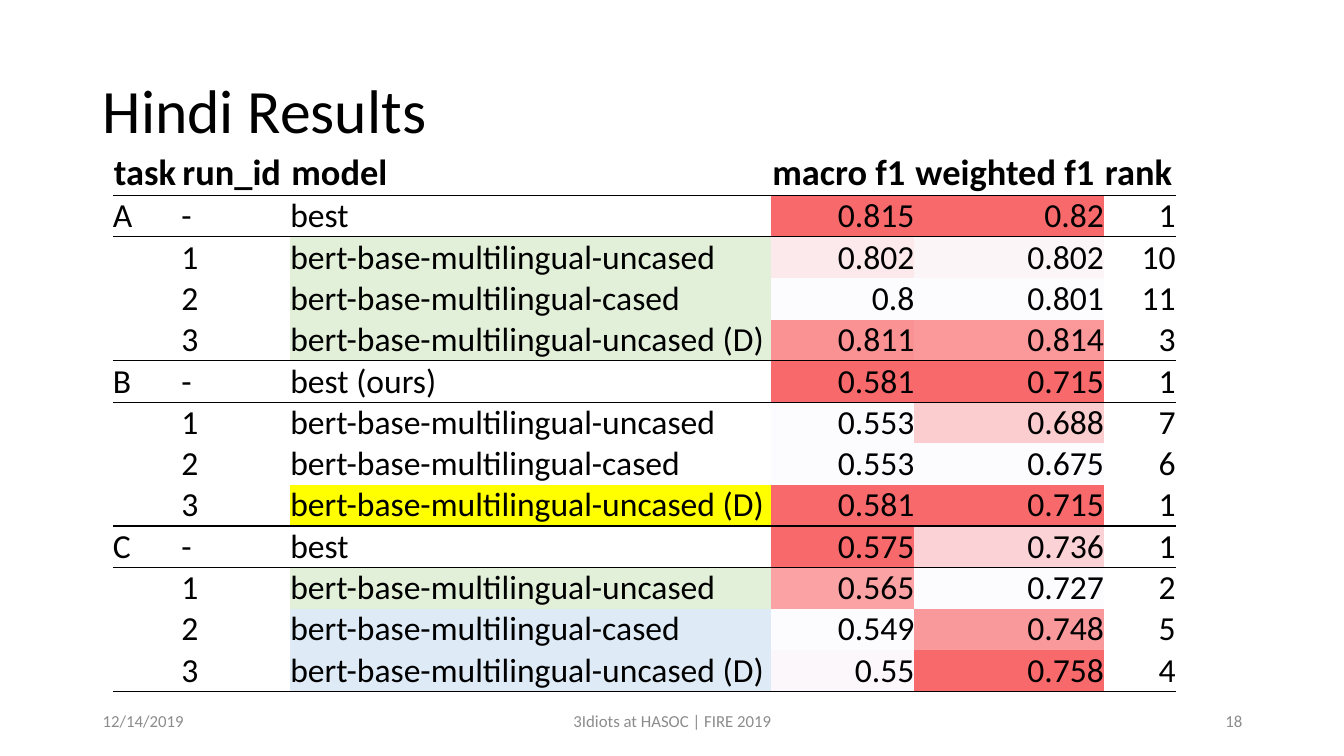
from dataclasses import dataclass
from math import ceil

from lxml.etree import SubElement
from pptx import Presentation
from pptx.dml.color import RGBColor as RGB
from pptx.enum.text import MSO_ANCHOR as ANCHOR, PP_ALIGN as ALIGN
from pptx.oxml import parse_xml
from pptx.oxml.ns import nsdecls, qn
from pptx.util import Inches, Pt


@dataclass(frozen=True)
class Theme:
    font: str = "Calibri"
    ink: str = "000000"
    muted: str = "8C8C8C"
    green: str = "E2F0D9"
    yellow: str = "FFFF00"
    blue: str = "DEEBF7"
    heat_low: str = "FCFCFF"
    heat_high: str = "F8696B"
    title: int = 44
    head: int = 26
    body: int = 24
    footer: int = 12
    rule: int = 1


T = Theme()
NO_STYLE = "{2D5ABB26-0587-4C30-8999-92F81FD0307C}"
COLS = [0.68, 1.08, 4.77, 1.42, 1.88, 0.71]
HEAD_H, ROW_H = 0.45, 0.41
HEADERS = ["task", "run_id", "model", "macro f1", "weighted f1", "rank"]
SCORE_COLS = (3, 4)
MODELS = [
    "bert-base-multilingual-uncased",
    "bert-base-multilingual-cased",
    "bert-base-multilingual-uncased (D)",
]
TASKS = [
    ("A", "best", [("0.815", "0.82", "1"), ("0.802", "0.802", "10"),
                   ("0.8", "0.801", "11"), ("0.811", "0.814", "3")],
     [T.green, T.green, T.green]),
    ("B", "best (ours)", [("0.581", "0.715", "1"), ("0.553", "0.688", "7"),
                          ("0.553", "0.675", "6"), ("0.581", "0.715", "1")],
     [None, None, T.yellow]),
    ("C", "best", [("0.575", "0.736", "1"), ("0.565", "0.727", "2"),
                   ("0.549", "0.748", "5"), ("0.55", "0.758", "4")],
     [T.green, T.blue, T.blue]),
]


def write(tf, text, size, color=T.ink, bold=False, align=ALIGN.LEFT, spacing=None):
    p = tf.paragraphs[0]
    p.alignment = align
    p.line_spacing = spacing
    r = p.add_run()
    r.text = text
    fmt = {"name": T.font, "size": Pt(size), "bold": bold}
    for key, value in fmt.items():
        setattr(r.font, key, value)
    r.font.color.rgb = RGB.from_string(color)


def add_text(s, box, text, size, **style):
    tf = s.shapes.add_textbox(*map(Inches, box)).text_frame
    tf.word_wrap = True
    tf.vertical_anchor = ANCHOR.MIDDLE
    write(tf, text, size, **style)


def heat_color(value, scores):
    low, high = min(scores), max(scores)
    t = (value - low) / (high - low)
    start, end = RGB.from_string(T.heat_low), RGB.from_string(T.heat_high)
    return str(RGB(*(ceil(a + (b - a) * t) for a, b in zip(start, end))))


def add_rule(cell, side):
    ln = parse_xml(f'<a:{side} {nsdecls("a")} w="{Pt(T.rule)}"/>')
    fill = SubElement(ln, qn("a:solidFill"))
    SubElement(fill, qn("a:srgbClr"), val=T.ink)
    cell._tc.get_or_add_tcPr().insert(0, ln)


def fill_cell(cell, text, size, inset=0, color=None, **style):
    fmt = {
        "margin_left": Inches(inset),
        "margin_right": Inches(inset),
        "margin_top": Inches(inset),
        "margin_bottom": 0,
        "vertical_anchor": ANCHOR.BOTTOM,
    }
    for key, value in fmt.items():
        setattr(cell, key, value)
    if color:
        cell.fill.solid()
        cell.fill.fore_color.rgb = RGB.from_string(color)
    else:
        cell.fill.background()
    if text:
        write(cell.text_frame, text, size, **style)


def result_rows():
    for task, best, results, model_fills in TASKS:
        columns = [[float(v) for v in col] for col in list(zip(*results))[:2]]
        for run, result in enumerate(results):
            first = run == 0
            labels = [task if first else "", "-" if first else str(run),
                      best if first else MODELS[run - 1]]
            heat = [heat_color(col[run], col) for col in columns]
            model_fill = None if first else model_fills[run - 1]
            yield labels + list(result), [None, None, model_fill, *heat, None]


def add_results(s, left, top):
    rows = list(result_rows())
    height = HEAD_H + ROW_H * len(rows)
    frame = s.shapes.add_table(len(rows) + 1, len(COLS), Inches(left), Inches(top),
                               Inches(sum(COLS)), Inches(height))
    table = frame.table
    table.first_row = table.horz_banding = False
    table._tbl.tblPr.find(qn("a:tableStyleId")).text = NO_STYLE
    for column, width in zip(table.columns, COLS):
        column.width = Inches(width)
    for i, row in enumerate(table.rows):
        row.height = Inches(ROW_H if i else HEAD_H)

    for c, text in enumerate(HEADERS):
        fill_cell(table.cell(0, c), text, T.head, inset=0.01, bold=True)
    for i, (texts, fills) in enumerate(rows, 1):
        for c, (text, color) in enumerate(zip(texts, fills)):
            align = ALIGN.RIGHT if c >= SCORE_COLS[0] else ALIGN.LEFT
            fill_cell(table.cell(i, c), text, T.body, color=color, align=align)

    runs = len(MODELS) + 1
    for i in range(0, len(rows) + 1, runs):
        for c in range(len(COLS)):
            add_rule(table.cell(i, c), "lnB")
            if i < len(rows):
                add_rule(table.cell(i + 1, c), "lnT")


def add_footer(s, left, top, width, height):
    side = 3
    middle = 4.5
    parts = [
        (left, side, "12/14/2019", ALIGN.LEFT),
        (left + (width - middle) / 2, middle, "3Idiots at HASOC | FIRE 2019", ALIGN.CENTER),
        (left + width - side, side, "18", ALIGN.RIGHT),
    ]
    for x, w, text, align in parts:
        add_text(s, (x, top, w, height), text, T.footer, color=T.muted, align=align)


def main():
    prs = Presentation()
    prs.slide_width, prs.slide_height = Inches(13.33), Inches(7.5)
    s = prs.slides.add_slide(prs.slide_layouts[6])
    add_text(s, (0.92, 0.4, 11.5, 1.45), "Hindi Results", T.title, spacing=0.9)
    add_footer(s, 0.92, 6.95, 11.5, 0.4)
    add_results(s, 1.12, 1.49)
    prs.save("out.pptx")


if __name__ == "__main__":
    main()
